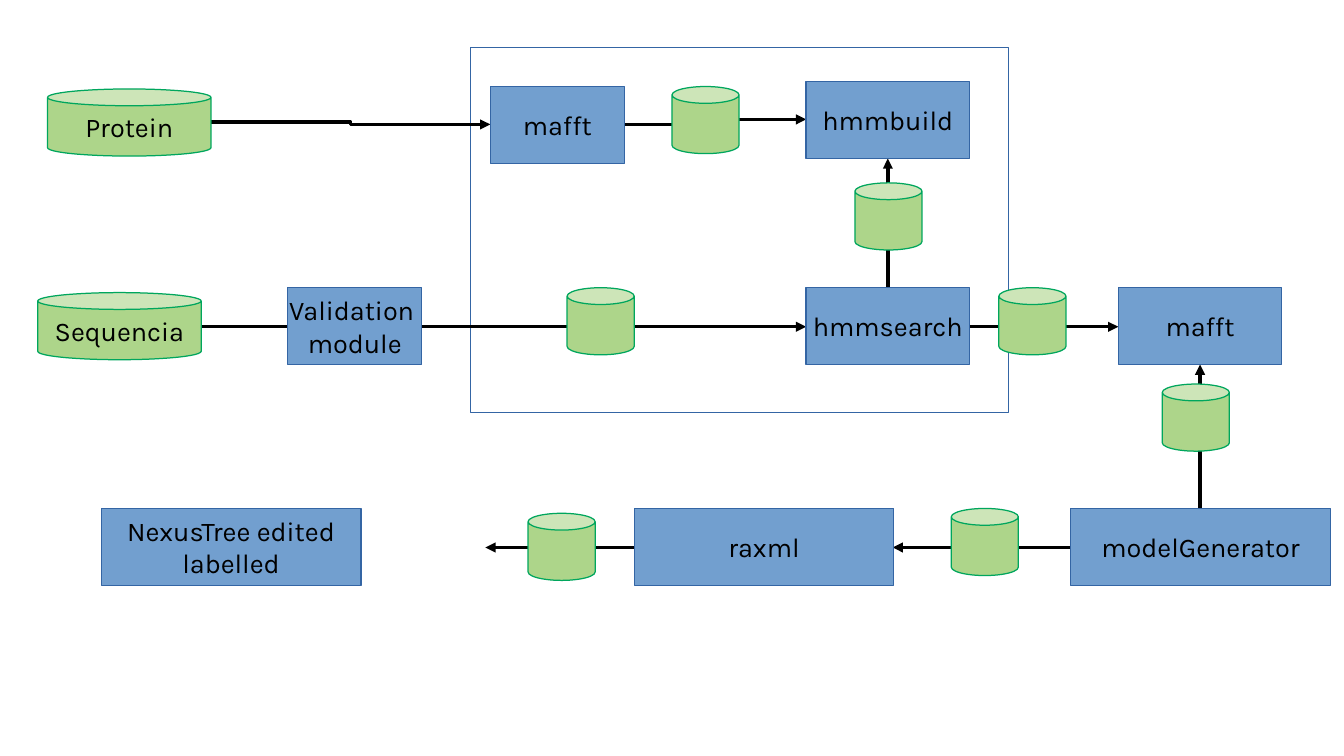
"""Draw a sequence analysis pipeline of data stores, tools and arrows."""
from pptx import Presentation
from pptx.dml.color import RGBColor
from pptx.enum.shapes import MSO_CONNECTOR, MSO_SHAPE
from pptx.enum.text import MSO_ANCHOR, PP_ALIGN
from pptx.oxml.ns import qn
from pptx.util import Inches, Pt
from lxml import etree

RECT, CAN = MSO_SHAPE.RECTANGLE, MSO_SHAPE.CAN
STRAIGHT, ELBOW = MSO_CONNECTOR.STRAIGHT, MSO_CONNECTOR.ELBOW
MIDDLE, CENTER = MSO_ANCHOR.MIDDLE, PP_ALIGN.CENTER
BLACK = RGBColor(0x00, 0x00, 0x00)
TOOL_FILL = RGBColor(0x72, 0x9F, 0xCF)
TOOL_LINE = RGBColor(0x34, 0x65, 0xA4)
DATA_FILL = RGBColor(0xAD, 0xD5, 0x8A)
DATA_LINE = RGBColor(0x00, 0xA6, 0x5D)
TOOL_HEIGHT, DATA_SIZE = 0.63, 0.55

prs = Presentation()
prs.slide_width, prs.slide_height = Inches(11.02), Inches(6.2)
slide = prs.slides.add_slide(prs.slide_layouts[6])


def add_node(kind, left, top, width, height, fill, line, label=""):
    node = slide.shapes.add_shape(
        kind, Inches(left), Inches(top), Inches(width), Inches(height))
    node.shadow.inherit = False
    if fill is None:
        node.fill.background()
    else:
        node.fill.solid()
        node.fill.fore_color.rgb = fill
    node.line.color.rgb = line
    node.line.width = Pt(0)
    if label:
        frame = node.text_frame
        frame.word_wrap = False
        frame.vertical_anchor = MIDDLE
        frame.text = label
        for paragraph in frame.paragraphs:
            paragraph.alignment = CENTER
            font = paragraph.runs[0].font
            for key, value in {"name": "Karla", "size": Pt(16)}.items():
                setattr(font, key, value)
            font.color.rgb = BLACK


def add_arrow(kind, x1, y1, x2, y2):
    arrow = slide.shapes.add_connector(
        kind, Inches(x1), Inches(y1), Inches(x2), Inches(y2))
    arrow.line.color.rgb = BLACK
    arrow.line.width = Pt(0)
    etree.SubElement(arrow.line._get_or_add_ln(), qn("a:tailEnd"), type="triangle")
    etree.SubElement(arrow._element.spPr, qn("a:effectLst"))


add_node(RECT, 3.86, 0.39, 4.41, 2.99, None, TOOL_LINE)

arrows = [
    (ELBOW, 1.73, 1, 4.02, 1.02),
    (ELBOW, 5.12, 1.02, 6.61, 0.98),
    (STRAIGHT, 1.65, 2.68, 6.61, 2.68),
    (STRAIGHT, 7.28, 2.36, 7.28, 1.3),
    (STRAIGHT, 7.95, 2.68, 9.17, 2.68),
    (STRAIGHT, 9.84, 4.17, 9.84, 2.99),
    (STRAIGHT, 8.78, 4.49, 7.32, 4.49),
    (STRAIGHT, 5.2, 4.49, 3.98, 4.49),
]
for arrow_ends in arrows:
    add_arrow(*arrow_ends)

tools = [
    ("mafft", 4.02, 0.71, 1.1),
    ("hmmbuild", 6.61, 0.67, 1.34),
    ("Validation \nmodule", 2.36, 2.36, 1.1),
    ("hmmsearch", 6.61, 2.36, 1.34),
    ("mafft", 9.17, 2.36, 1.34),
    ("modelGenerator", 8.78, 4.17, 2.13),
    ("raxml", 5.2, 4.17, 2.13),
    ("NexusTree edited\nlabelled", 0.83, 4.17, 2.13),
]
for label, left, top, width in tools:
    add_node(RECT, left, top, width, TOOL_HEIGHT, TOOL_FILL, TOOL_LINE, label)

data_stores = [
    ("Protein", 0.39, 0.73, 1.34),
    ("Sequencia", 0.31, 2.4, 1.34),
    ("", 5.51, 0.71, DATA_SIZE),
    ("", 7.01, 1.5, DATA_SIZE),
    ("", 4.65, 2.36, DATA_SIZE),
    ("", 8.19, 2.36, DATA_SIZE),
    ("", 9.53, 3.15, DATA_SIZE),
    ("", 7.8, 4.17, DATA_SIZE),
    ("", 4.33, 4.21, DATA_SIZE),
]
for label, left, top, width in data_stores:
    add_node(CAN, left, top, width, DATA_SIZE, DATA_FILL, DATA_LINE, label)

prs.save("out.pptx")
